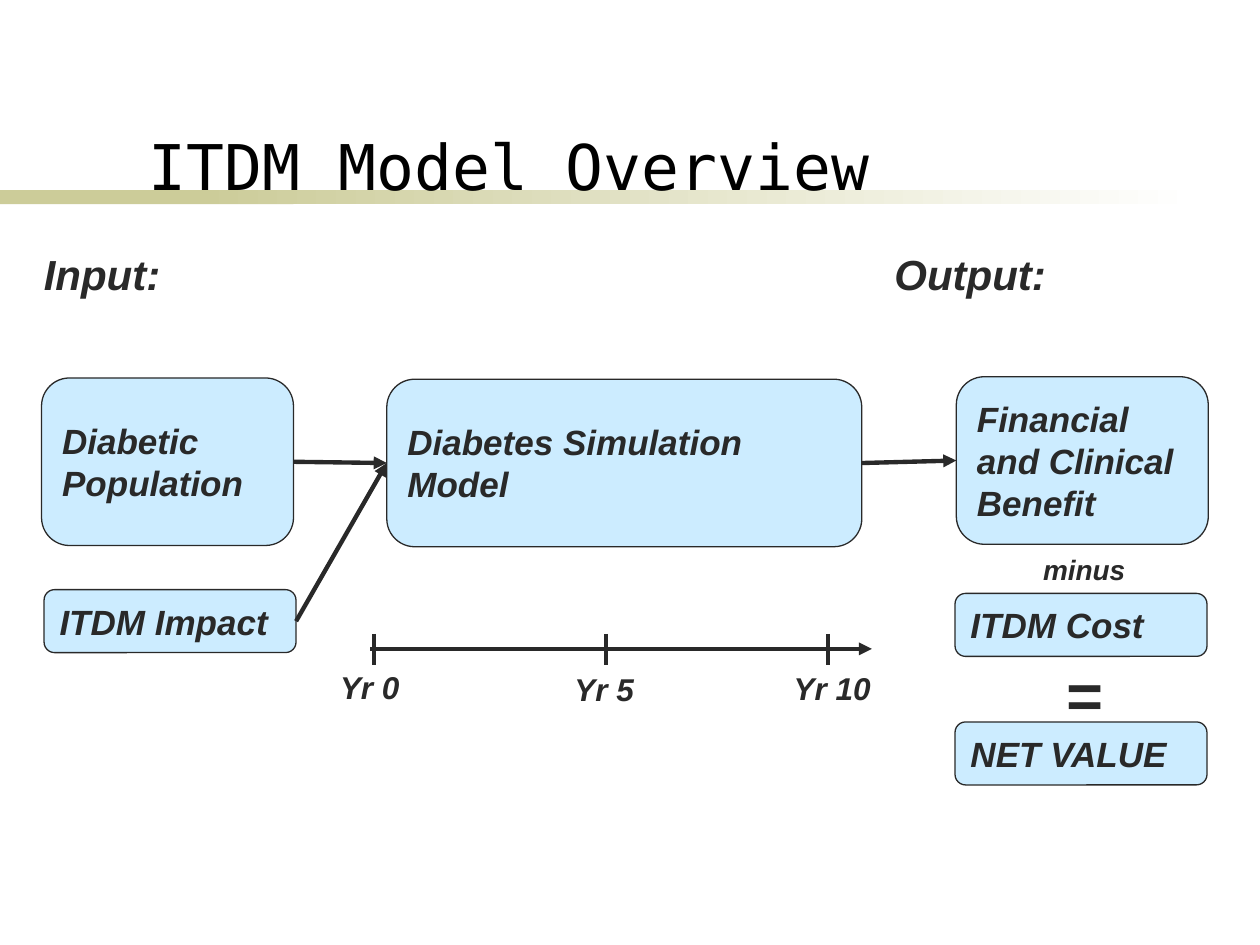
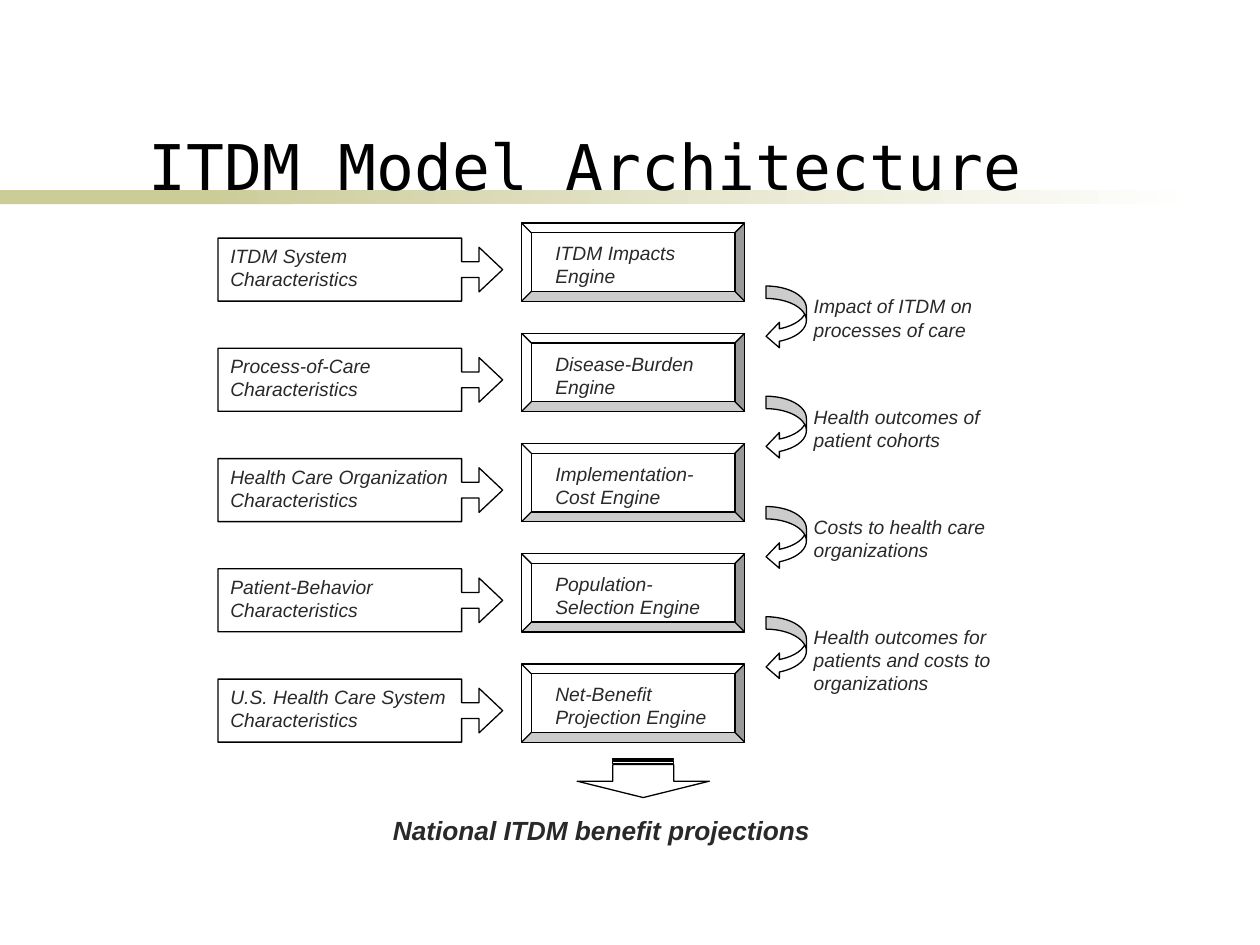
from lxml import etree
from pptx import Presentation
from pptx.dml.color import RGBColor
from pptx.enum.shapes import MSO_CONNECTOR, MSO_SHAPE
from pptx.enum.text import MSO_ANCHOR, PP_ALIGN
from pptx.oxml.ns import qn
from pptx.util import Inches, Pt

INK, BLACK, WHITE, SKY, OLIVE = "292929", "000000", "FFFFFF", "CCECFF", "CCCC99"
BODY, HEAD = "Arial", "DejaVu Sans Mono"

# Model overview: name -> (text, left, top, width, height)
BOXES = {
    "people": ("Diabetic Population", 0.33, 3, 2, 1.33),
    "impact": ("ITDM Impact", 0.35, 4.68, 2, 0.5),
    "model": ("Diabetes Simulation Model", 3.07, 3.01, 3.77, 1.33),
    "gain": ("Financial and Clinical Benefit", 7.59, 2.99, 2, 1.33),
    "cost": ("ITDM Cost", 7.58, 4.71, 2, 0.5),
    "net": ("NET VALUE", 7.58, 5.73, 2, 0.5),
}
FLOWS = [("people", "model"), ("impact", "model"), ("model", "gain")]
# text, left, top, width, height, size, wrap
LABELS = [
    ("Input:", 0.25, 1.92, 1.33, 0.5, 24, True),
    ("Output:", 7, 1.92, 1.75, 0.5, 24, True),
    ("minus", 8.18, 4.34, 0.85, 0.37, 16, False),
    ("=", 8.36, 5.15, 0.49, 0.7, 36, False),
]
AXIS = (2.94, 6.92, 5.15)
# text, tick position, label left, label top
YEARS = [("Yr 0", 2.97, 2.6, 5.25), ("Yr 5", 4.81, 4.46, 5.27),
         ("Yr 10", 6.57, 6.2, 5.26)]

# Model architecture: input, engine, result passed to the next engine
STAGES = [
    ("ITDM System Characteristics", "ITDM Impacts Engine",
     "Impact of ITDM on processes of care"),
    ("Process-of-Care Characteristics", "Disease-Burden Engine",
     "Health outcomes of patient cohorts"),
    ("Health Care Organization Characteristics", "Implementation- Cost Engine",
     "Costs to health care organizations"),
    ("Patient-Behavior Characteristics", "Population- Selection Engine",
     "Health outcomes for patients and costs to organizations"),
    ("U.S. Health Care System Characteristics", "Net-Benefit Projection Engine",
     None),
]
TOP, PITCH = 1.77, 0.875


def rgb(code):
    return RGBColor.from_string(code)


def write(shape, text, size, bold=True, italic=True, color=INK, font=BODY,
          anchor=MSO_ANCHOR.TOP, pads=(0.1, 0.05, 0.1, 0.05), wrap=True):
    """Fill a shape with one left-aligned paragraph; pads run left to bottom."""
    frame = shape.text_frame
    frame.text = text
    frame.word_wrap = wrap
    frame.vertical_anchor = anchor
    (frame.margin_left, frame.margin_top,
     frame.margin_right, frame.margin_bottom) = map(Inches, pads)
    para = frame.paragraphs[0]
    para.alignment = PP_ALIGN.LEFT
    face = para.runs[0].font
    face.name, face.size = font, Pt(size)
    face.bold, face.italic = bold, italic
    face.color.rgb = rgb(color)


def label(slide, text, spot, size, **style):
    write(slide.shapes.add_textbox(*map(Inches, spot)), text, size, **style)


def draw(slide, kind, spot, fill=WHITE, line=BLACK, adjust=()):
    shape = slide.shapes.add_shape(kind, *map(Inches, spot))
    shape.shadow.inherit = False
    shape.fill.solid()
    shape.fill.fore_color.rgb = rgb(fill)
    if line:
        shape.line.color.rgb = rgb(line)
        shape.line.width = Pt(0.75)
    else:
        shape.line.fill.background()
    for i, value in enumerate(adjust):
        shape.adjustments[i] = value
    return shape


def stroke(slide, x1, y1, x2, y2, arrow=False):
    link = slide.shapes.add_connector(
        MSO_CONNECTOR.STRAIGHT, *map(Inches, (x1, y1, x2, y2)))
    link.line.color.rgb = rgb(INK)
    link.line.width = Pt(2.5)
    if arrow:
        etree.SubElement(link.line._get_or_add_ln(), qn("a:tailEnd"),
                         type="triangle")
    etree.SubElement(link.element.spPr, qn("a:effectLst"))
    return link


def band(slide):
    """Put the title band on the slide's layout, behind its placeholders."""
    solid = draw(slide, MSO_SHAPE.RECTANGLE, (0, 1.51, 2.33, 0.11), OLIVE, None)
    fade = draw(slide, MSO_SHAPE.RECTANGLE, (1.58, 1.51, 7.92, 0.11), OLIVE, None)
    fade.fill.gradient()
    fade.fill.gradient_angle = 0
    for stop, color, place in zip(fade.fill.gradient_stops, (OLIVE, WHITE), (0, 1)):
        stop.color.rgb = rgb(color)
        stop.position = place
    tree = slide.slide_layout.shapes.element
    for i, part in enumerate((solid, fade)):
        tree.insert(2 + i, part.element)


def start(deck, text):
    slide = deck.slides.add_slide(deck.slide_layouts[5])
    title = slide.shapes.title
    title.left, title.top, title.width, title.height = map(
        Inches, (1.08, 0.11, 8.08, 1.55))
    write(title, text, 36, bold=False, italic=False, color=BLACK, font=HEAD,
          anchor=MSO_ANCHOR.BOTTOM)
    return slide


def overview(deck):
    slide = start(deck, "ITDM Model Overview")
    band(slide)
    left, right, y = AXIS
    stroke(slide, left, y, right, y, arrow=True)
    for text, x, start_x, top in YEARS:
        stroke(slide, x, y - 0.12, x, y + 0.13)
        label(slide, text, (start_x, top, 1.25, 0.4), 18)
    nodes = {}
    for name, (text, *spot) in BOXES.items():
        nodes[name] = draw(slide, MSO_SHAPE.ROUNDED_RECTANGLE, spot, SKY, INK,
                           [0.167])
        write(nodes[name], text, 20, anchor=MSO_ANCHOR.MIDDLE)
    for source, target in FLOWS:
        link = stroke(slide, 0, 0, 1, 1, arrow=True)
        link.begin_connect(nodes[source], 3)
        link.end_connect(nodes[target], 1)
    for text, *spot, size, wrap in LABELS:
        label(slide, text, spot, size, wrap=wrap)


def stack(deck):
    slide = start(deck, "ITDM Model Architecture")
    for i, (source, engine, result) in enumerate(STAGES):
        y = TOP + i * PITCH
        block = draw(slide, MSO_SHAPE.BEVEL, (4.14, y, 1.77, 0.62),
                     adjust=[0.125])
        write(block, engine, 11, bold=False, pads=(0.19, 0.07, 0.15, 0))
        feed = draw(slide, MSO_SHAPE.RIGHT_ARROW_CALLOUT,
                    (1.73, y + 0.12, 2.26, 0.5),
                    adjust=[0.25, 0.354, 0.375, 0.856])
        write(feed, source, 11, bold=False, pads=(0.1, 0.05, 0.05, 0.05))
        if result:
            draw(slide, MSO_SHAPE.CURVED_LEFT_ARROW, (6.08, y + 0.5, 0.32, 0.5),
                 adjust=[0.31, 0.63, 0.33])
            label(slide, result, (6.36, y + 0.52, 1.63, 0.5), 11, bold=False)
    down = draw(slide, MSO_SHAPE.STRIPED_RIGHT_ARROW, (4.95, 5.65, 0.31, 1.05),
                adjust=[0.46, 0.42])
    down.rotation = 90
    label(slide, "National ITDM benefit projections", (3.02, 6.41, 4.17, 0.5), 15)


def main():
    deck = Presentation()
    deck.slide_width, deck.slide_height = Inches(10), Inches(7.5)
    overview(deck)
    stack(deck)
    deck.save("out.pptx")


if __name__ == "__main__":
    main()
